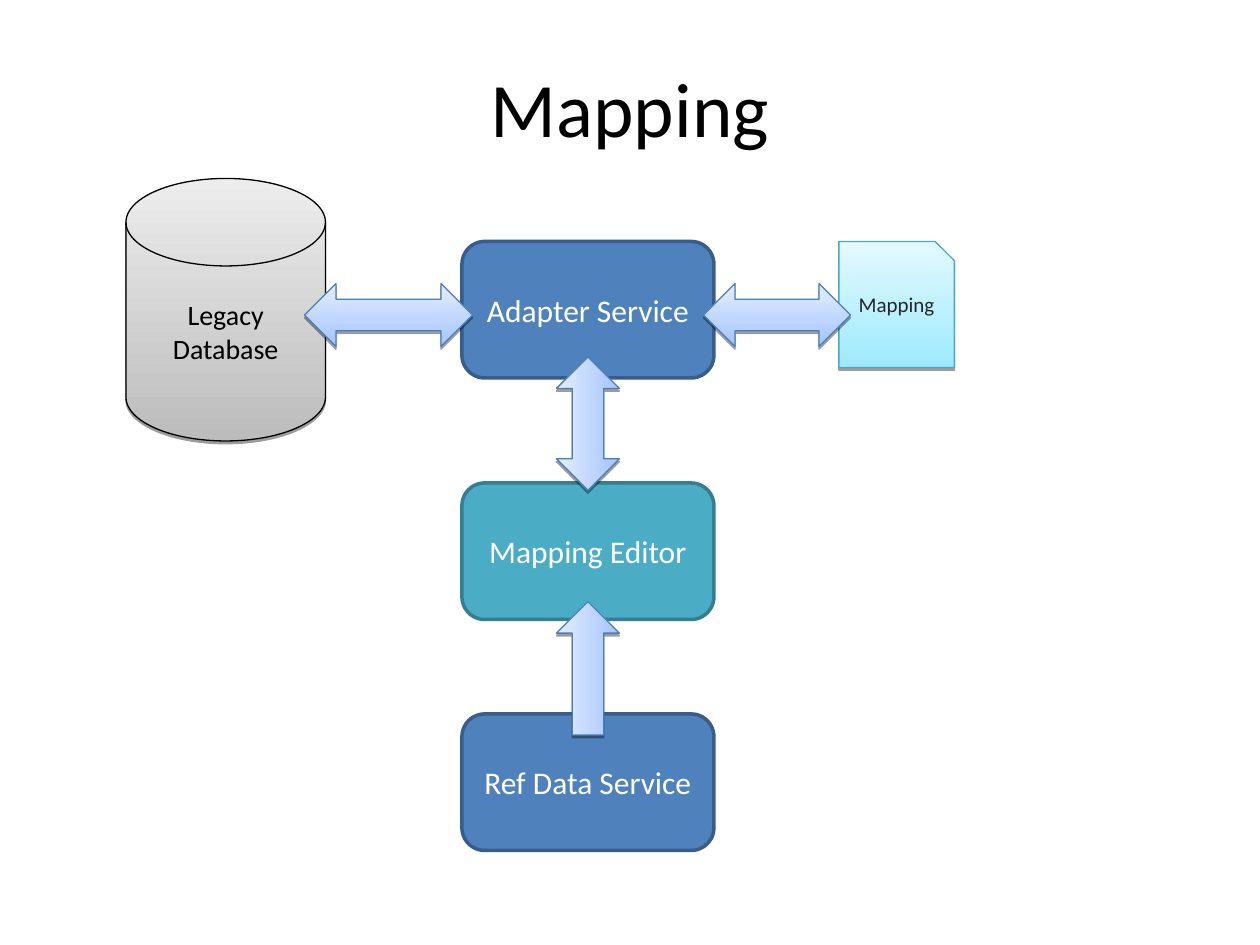
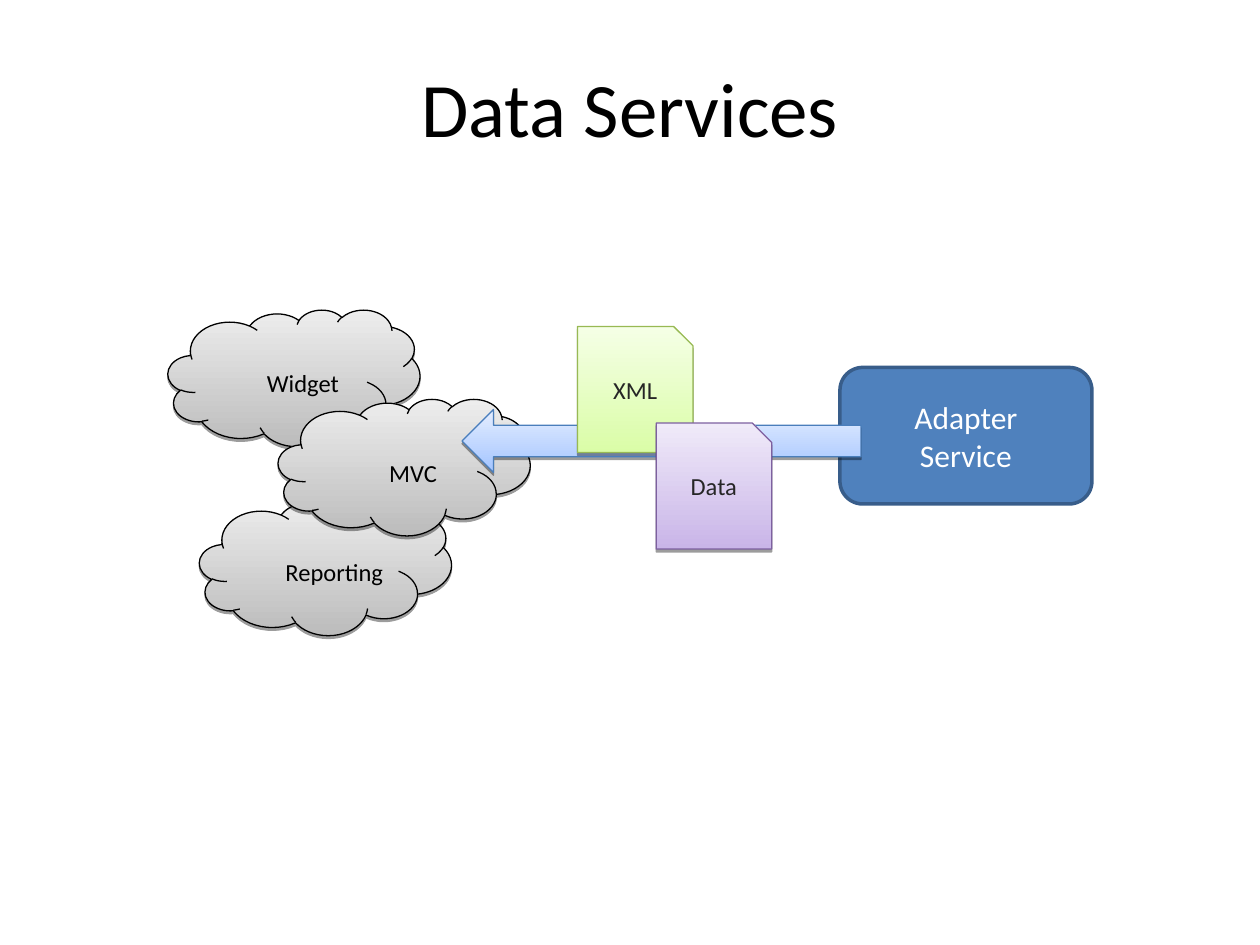
from dataclasses import dataclass

from lxml import etree
from pptx import Presentation, util as u
from pptx.dml.color import RGBColor
from pptx.enum import shapes, text

PX = 7620  # EMU in one px, 120 px to the inch
KIND = shapes.MSO_SHAPE
NS = "http://schemas.openxmlformats.org/drawingml/2006/main"


@dataclass(frozen=True)
class Look:
    fills: tuple  # one colour is solid, two blend from dark to light
    line: str
    ink: str = "000000"
    size: int = 14
    width: float = 0.75


class Theme:
    font = "Calibri"
    ink = "000000"
    title = 44
    blue = Look(("4F81BD",), "385D8A", "FFFFFF", 18, 2)
    teal = Look(("4BACC6",), "357D91", "FFFFFF", 18, 2)
    disk = Look(("BCBCBC", "EDEDED"), "000000", size=16)
    cloud = Look(("BCBCBC", "EDEDED"), "000000")
    arrow = Look(("A3C4FF", "E5EEFF"), "4A7EBB")
    aqua = Look(("9EEAFF", "E4F9FF"), "46AAC5", "262626", 12)
    green = Look(("DAFDA7", "F5FFE6"), "98B954", "262626")
    violet = Look(("C9B5E8", "F0EAF9"), "7D60A0", "262626")


# Left, top, right, bottom insets; these centre the words on lopsided shapes
INSETS = {KIND.CLOUD: (34, 16, 0, 0), KIND.SNIP_1_RECTANGLE: (9, 0, 0, 9)}
UPRIGHT = (KIND.UP_ARROW, KIND.UP_DOWN_ARROW)


def write(frame, words, size, ink, insets=(12, 6, 12, 6)):
    """Fill a frame with centred words; a line feed makes a line break."""
    frame.word_wrap = True
    frame.auto_size = text.MSO_AUTO_SIZE.NONE
    for side, gap in zip(("left", "top", "right", "bottom"), insets):
        setattr(frame, "margin_" + side, gap * PX)
    para = frame.paragraphs[0]
    para.alignment = text.PP_ALIGN.CENTER
    for row, part in enumerate(words.split("\n")):
        if row:
            para.add_line_break()
        run = para.add_run()
        run.text = part
        run.font.name = Theme.font
        run.font.size = u.Pt(size)
        run.font.color.rgb = RGBColor.from_string(ink)


def draw(slide, kind, box, look, words=""):
    """Add a preset shape; blended shapes also cast a hard shadow."""
    shape = slide.shapes.add_shape(kind, *(n * PX for n in box))
    shape.shadow.inherit = False
    shape.line.color.rgb = RGBColor.from_string(look.line)
    shape.line.width = u.Pt(look.width)
    if len(look.fills) == 1:
        shape.fill.solid()
        shape.fill.fore_color.rgb = RGBColor.from_string(look.fills[0])
    else:
        shape.fill.gradient()
        shape.fill.gradient_angle = 180 if kind in UPRIGHT else 90
        for stop, tone in zip(shape.fill.gradient_stops, look.fills):
            stop.color.rgb = RGBColor.from_string(tone)
        effects = shape.element.spPr.find(f"{{{NS}}}effectLst")
        cast = etree.SubElement(effects, f"{{{NS}}}outerShdw", blurRad="0",
                                dist="20000", dir="5400000", rotWithShape="0")
        tone = etree.SubElement(cast, f"{{{NS}}}srgbClr", val="000000")
        etree.SubElement(tone, f"{{{NS}}}alpha", val="38000")
    if words:
        shape.text_frame.vertical_anchor = text.MSO_ANCHOR.MIDDLE
        write(shape.text_frame, words, look.size, look.ink,
              INSETS.get(kind, (12, 6, 12, 6)))


BOX = (240, 130)
CARD = (110, 120)
ROUND, SNIP, CLOUD = KIND.ROUNDED_RECTANGLE, KIND.SNIP_1_RECTANGLE, KIND.CLOUD

# Each part: kind, (left, top, width, height), look, words; back to front
PAGES = {
    "Mapping": [
        (ROUND, (440, 230, *BOX), Theme.blue, "Adapter Service"),
        (KIND.FLOWCHART_MAGNETIC_DISK, (120, 170, 190, 250), Theme.disk,
         "Legacy Database"),
        (KIND.LEFT_RIGHT_ARROW, (290, 270, 160, 60), Theme.arrow),
        (SNIP, (799, 230, *CARD), Theme.aqua, "Mapping"),
        (KIND.LEFT_RIGHT_ARROW, (670, 270, 140, 60), Theme.arrow),
        (ROUND, (440, 460, *BOX), Theme.teal, "Mapping Editor"),
        (ROUND, (440, 680, *BOX), Theme.blue, "Ref Data Service"),
        (KIND.UP_ARROW, (530, 573, 60, 127), Theme.arrow),
        (KIND.UP_DOWN_ARROW, (530, 340, 60, 127), Theme.arrow),
    ],
    "Data Services": [
        (ROUND, (800, 350, *BOX), Theme.blue, "Adapter\nService"),
        (CLOUD, (160, 295, *BOX), Theme.cloud, "Widget"),
        (CLOUD, (190, 475, *BOX), Theme.cloud, "Reporting"),
        (CLOUD, (265, 380, *BOX), Theme.cloud, "MVC"),
        (KIND.LEFT_ARROW, (440, 390, 380, 60), Theme.arrow),
        (SNIP, (550, 311, *CARD), Theme.green, "XML"),
        (SNIP, (625, 403, *CARD), Theme.violet, "Data"),
    ],
}

deck = Presentation()
deck.slide_width, deck.slide_height = 1200 * PX, 900 * PX
for name, parts in PAGES.items():
    slide = deck.slides.add_slide(deck.slide_layouts[5])
    title = slide.shapes.title
    title.left, title.top, title.width, title.height = (
        n * PX for n in (20, 52, 1160, 101))
    title.text_frame.vertical_anchor = text.MSO_ANCHOR.TOP
    write(title.text_frame, name, Theme.title, Theme.ink)
    for part in parts:
        draw(slide, *part)
deck.save("out.pptx")
